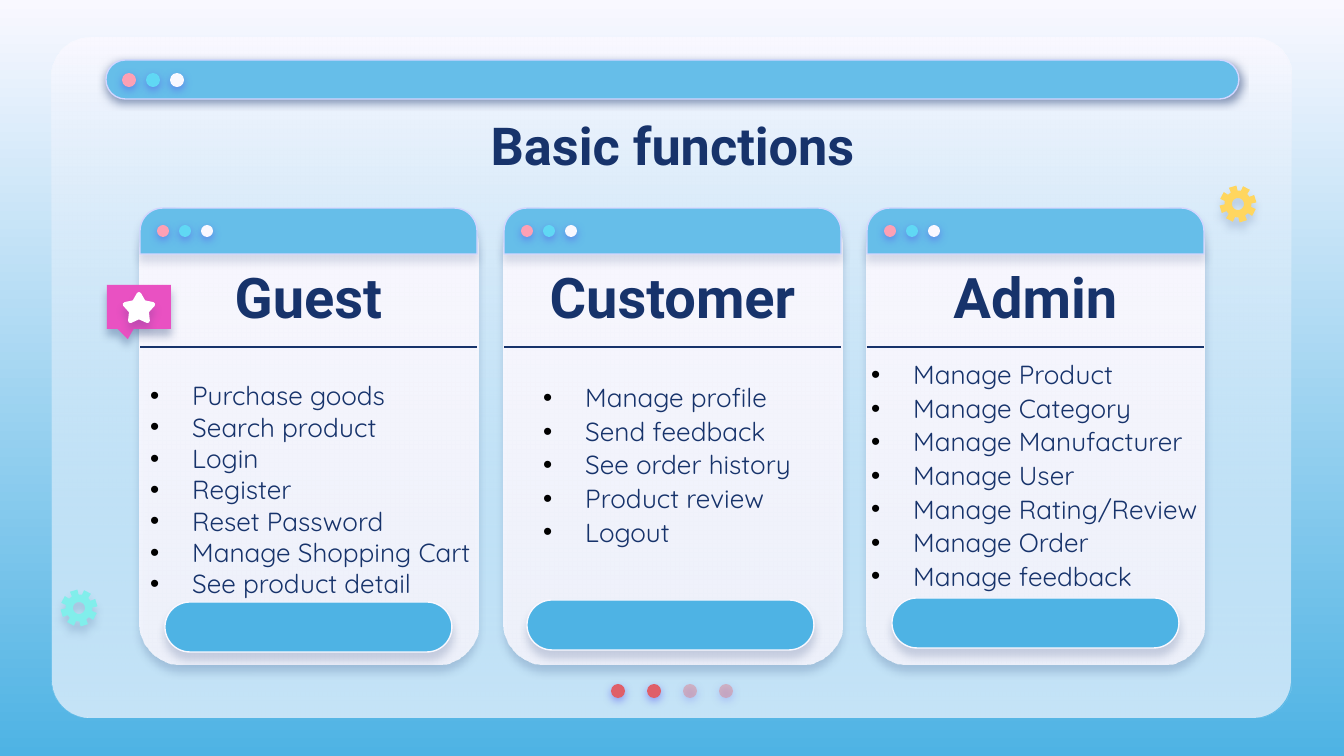
from dataclasses import dataclass
from math import cos, radians, sin
from typing import Optional

from lxml.etree import SubElement
from pptx import Presentation
from pptx.dml.color import RGBColor
from pptx.enum.shapes import MSO_SHAPE as Preset
from pptx.enum.text import MSO_ANCHOR as Anchor, MSO_AUTO_SIZE as AutoSize, PP_ALIGN as Align
from pptx.oxml.ns import qn
from pptx.util import Pt

PX = 9144000 / 1344
NO_GRID_STYLE = "{2D5ABB26-0587-4C30-8999-92F81FD0307C}"
COLORS = {
    "paper": "F9F8FF", "sky": "4EB3E4", "bar": "66BEE9", "edge": "D2D6FF",
    "navy": "17336B", "glow": "5352EE", "pink": "FDA0B4", "cyan": "60D8F4",
    "red": "DF5F69", "faded": "E27B83", "mint": "81EEEB", "yellow": "FFD65F",
    "magenta": "E951C2", "white": "FFFFFF", "black": "000000",
}
WINDOW_DOTS = [("pink", 100), ("cyan", 100), ("paper", 100)]
PAGER_DOTS = [("red", 100)] * 2 + [("faded", 44)] * 2
HEADING = {"name": "Roboto", "bold": True}
BODY = {"name": "Quicksand", "size": Pt(14)}
# Profiles repeat around a centre: (radius in px, degrees from the tooth's axis)
GEAR = [(13.5, -15), (18.5, -12), (18.5, 12), (13.5, 15)]
STAR = [(10.5, -36), (16, -7), (17, 0), (16, 7)]
HOLE = [(6, 0)]


@dataclass(frozen=True)
class Shadow:
    color: str
    alpha: int
    distance: float
    blur: float = 4.5


@dataclass(frozen=True)
class Style:
    fill: str
    fill_end: Optional[str] = None
    alpha: int = 100
    line: Optional[str] = None
    shadow: Optional[Shadow] = None


@dataclass(frozen=True)
class Card:
    name: str
    left: int
    items: tuple
    text_at: tuple
    button_at: tuple
    spacing: Optional[float] = 1.07
    space_after: int = 8


CARDS = [
    Card("Guest", 140,
         ("Purchase goods", "Search product", "Login", "Register", "Reset Password",
          "Manage Shopping Cart", "See product detail"),
         (137, 373, 360, 235), (165, 602), None, 0),
    Card("Customer", 504,
         ("Manage profile", "Send feedback", "See order history", "Product review", "Logout"),
         (530, 373, 293, 181), (527, 600)),
    Card("Admin", 867,
         ("Manage Product", "Manage Category", "Manage Manufacturer", "Manage User",
          "Manage Rating/Review", "Manage Order", "Manage feedback"),
         (858, 350, 409, 249), (892, 598)),
]


def px(*values) -> list:
    return [round(value * PX) for value in values]


def rgb(name: str) -> RGBColor:
    return RGBColor.from_string(COLORS[name])


def set_font(font, color: str, formats: dict) -> None:
    font.color.rgb = rgb(color)
    for key, value in formats.items():
        setattr(font, key, value)


def fill_gradient(fill, start: str, end: str) -> None:
    """Fill from top to bottom."""
    fill.gradient()
    fill.gradient_angle = 270
    for stop, color in zip(fill.gradient_stops, (start, end)):
        stop.color.rgb = rgb(color)


def apply_style(shape, style: Style) -> None:
    properties = shape._element.spPr
    if style.fill_end:
        fill_gradient(shape.fill, style.fill, style.fill_end)
    else:
        shape.fill.solid()
        shape.fill.fore_color.rgb = rgb(style.fill)
    if style.alpha < 100:
        last_color = list(properties.iter(qn("a:srgbClr")))[-1]
        SubElement(last_color, qn("a:alpha"), val=str(style.alpha * 1000))
    if style.line:
        shape.line.color.rgb = rgb(style.line)
        shape.line.width = Pt(0.75)
    else:
        shape.line.fill.background()
    shape.shadow.inherit = False
    if style.shadow:
        shadow = style.shadow
        outer = SubElement(properties.find(qn("a:effectLst")), qn("a:outerShdw"),
                           blurRad=str(Pt(shadow.blur)), dist=str(Pt(shadow.distance)),
                           dir="5400000", algn="bl", rotWithShape="0")
        color = SubElement(outer, qn("a:srgbClr"), val=COLORS[shadow.color])
        SubElement(color, qn("a:alpha"), val=str(shadow.alpha * 1000))


def add_preset(page, preset, at: tuple, style: Style, adjustments: tuple = ()) -> None:
    shape = page.shapes.add_shape(preset, *px(*at))
    for index, value in enumerate(adjustments):
        shape.adjustments[index] = value
    apply_style(shape, style)


def add_dots(page, left: int, top: int, size: int, step: int, colors: list) -> None:
    for index, (color, alpha) in enumerate(colors):
        add_preset(page, Preset.OVAL, (left + index * step, top, size, size),
                   Style(color, alpha=alpha, shadow=Shadow("glow", 50, 1.5)))


def ring(center: tuple, profile: list, count: int, turn: float = 0) -> list:
    """Points of a profile repeated evenly around a centre, clockwise from the top."""
    points = []
    for index in range(count):
        for radius, offset in profile:
            angle = radians(turn + offset + index * 360 / count)
            points.append(tuple(px(center[0] + radius * sin(angle),
                                   center[1] - radius * cos(angle))))
    return points


def add_outline(page, contours: list, style: Style) -> None:
    builder = page.shapes.build_freeform(*contours[0][0], scale=1.0)
    builder.add_line_segments(contours[0][1:], close=True)
    for contour in contours[1:]:
        builder.move_to(*contour[0])
        builder.add_line_segments(contour[1:], close=True)
    apply_style(builder.convert_to_shape(), style)


def add_gear(page, center: tuple, color: str) -> None:
    add_outline(page, [ring(center, GEAR, 8, -17), ring(center, HOLE, 24)[::-1]],
                Style(color, shadow=Shadow("navy", 16, 4)))


def set_borders(cell, ruled_edge: Optional[str]) -> None:
    """Rule one edge of the cell and clear the others."""
    properties = cell._tc.get_or_add_tcPr()
    for edge in ("lnL", "lnR", "lnT", "lnB"):
        border = SubElement(properties, qn(f"a:{edge}"), w=str(Pt(1.5)))
        if edge == ruled_edge:
            SubElement(SubElement(border, qn("a:solidFill")), qn("a:srgbClr"), val=COLORS["navy"])
        else:
            SubElement(border, qn("a:noFill"))


def write_heading(frame, text: str, size: int) -> None:
    para = frame.paragraphs[0]
    para.alignment = Align.CENTER
    span = para.add_run()
    span.text = text
    set_font(span.font, "navy", {**HEADING, "size": Pt(size)})


def add_heading_table(page, card: Card) -> None:
    heights = [93, 60, 60, 60]
    table = page.shapes.add_table(len(heights), 1, *px(card.left, 254, 337, sum(heights))).table
    table.first_row = table.horz_banding = False
    table._tbl.tblPr.find(qn("a:tableStyleId")).text = NO_GRID_STYLE
    for index, height in enumerate(heights):
        table.rows[index].height = px(height)[0]
        cell = table.cell(index, 0)
        set_borders(cell, {0: "lnB", 1: "lnT"}.get(index))
        cell.fill.background()
        for side in ("left", "right", "top", "bottom"):
            setattr(cell, f"margin_{side}", px(13)[0])
    write_heading(table.cell(0, 0).text_frame, card.name, 30)


def add_bullets(page, card: Card) -> None:
    frame = page.shapes.add_textbox(*px(*card.text_at)).text_frame
    frame.word_wrap = True
    frame.auto_size = AutoSize.SHAPE_TO_FIT_TEXT
    indent = px(42)[0]
    for index, item in enumerate(card.items):
        para = frame.add_paragraph() if index else frame.paragraphs[0]
        properties = para._p.get_or_add_pPr()
        properties.set("marL", str(indent))
        properties.set("indent", str(-indent))
        SubElement(SubElement(properties, qn("a:buClr")), qn("a:srgbClr"), val=COLORS["black"])
        SubElement(properties, qn("a:buFont"), typeface="Arial")
        SubElement(properties, qn("a:buChar"), char="•")
        if card.spacing:
            para.line_spacing = card.spacing
        span = para.add_run()
        span.text = item
        set_font(span.font, "navy", BODY)
    if card.space_after:
        para.space_after = Pt(card.space_after)


def add_card(page, card: Card) -> None:
    add_preset(page, Preset.ROUNDED_RECTANGLE, (card.left, 208, 338, 457),
               Style("paper", "paper", 87, shadow=Shadow("navy", 22, 3.8)), (0.124,))
    add_preset(page, Preset.ROUND_2_SAME_RECTANGLE, (card.left, 208, 337, 46),
               Style("bar", line="edge", shadow=Shadow("navy", 15, 3.8)), (0.5, 0))
    add_dots(page, card.left + 17, 225, 12, 22, WINDOW_DOTS)
    add_heading_table(page, card)
    add_bullets(page, card)
    add_preset(page, Preset.ROUNDED_RECTANGLE, (*card.button_at, 287, 50),
               Style("sky", line="paper", shadow=Shadow("navy", 18, 3.8)), (0.5,))


def place_title(page, text: str) -> None:
    """Write the title and bring it in front of the panel."""
    title = page.shapes.title
    title.left, title.top, title.width, title.height = px(106, 102, 1133, 85)
    frame = title.text_frame
    frame.vertical_anchor = Anchor.MIDDLE
    frame.margin_top = frame.margin_bottom = px(13)[0]
    write_heading(frame, text, 28)
    page.shapes._spTree.append(title._element)


def main() -> None:
    deck = Presentation()
    deck.slide_width, deck.slide_height = px(1344, 756)
    page = deck.slides.add_slide(deck.slide_layouts[5])
    fill_gradient(page.background.fill, "paper", "sky")

    for style in (Style("paper"), Style("paper", "bar", 35)):
        add_preset(page, Preset.ROUNDED_RECTANGLE, (52, 38, 1239, 680), style, (0.056,))
    add_dots(page, 611, 684, 14, 36, PAGER_DOTS)
    add_preset(page, Preset.ROUNDED_RECTANGLE, (106, 60, 1133, 39),
               Style("bar", line="edge", shadow=Shadow("navy", 50, 1.5)), (0.5,))
    add_dots(page, 122, 73, 14, 24, WINDOW_DOTS)
    place_title(page, "Basic functions")

    for card in CARDS:
        add_card(page, card)
    add_gear(page, (79, 608), "mint")
    add_gear(page, (1238, 204), "yellow")
    add_preset(page, Preset.ROUNDED_RECTANGULAR_CALLOUT, (107, 285, 64, 44),
               Style("magenta", shadow=Shadow("navy", 31, 3.8)), (-0.174, 0.731, 0))
    add_outline(page, [ring((139, 309), STAR, 5)],
                Style("white", shadow=Shadow("navy", 18, 3.8)))
    deck.save("out.pptx")


if __name__ == "__main__":
    main()
